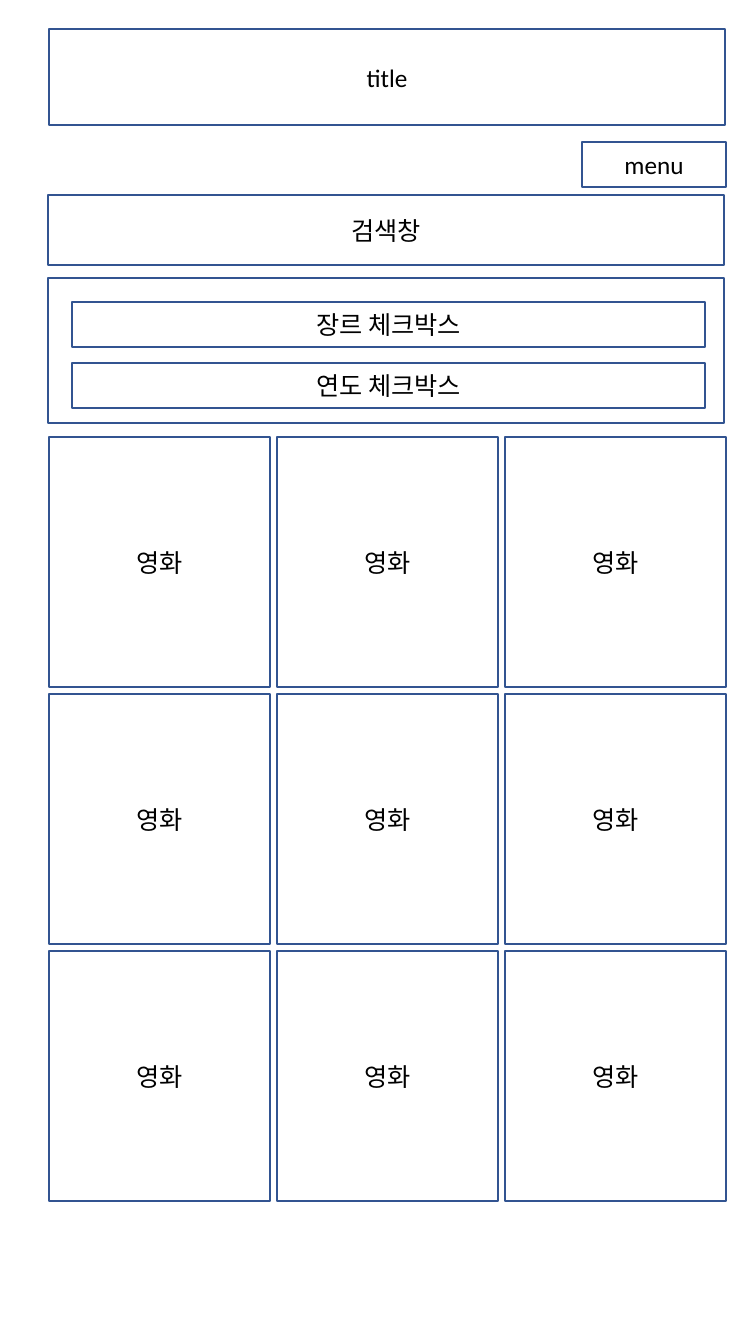
from pptx import Presentation
from pptx.dml.color import RGBColor
from pptx.enum.shapes import MSO_SHAPE
from pptx.enum.text import MSO_ANCHOR, MSO_AUTO_SIZE, PP_ALIGN
from pptx.util import Emu, Pt

RECT = MSO_SHAPE.RECTANGLE
MIDDLE = MSO_ANCHOR.MIDDLE
CENTER = PP_ALIGN.CENTER
NO_FIT = MSO_AUTO_SIZE.NONE
PX = 914400 / 100.8
COLORS = {"fill": "FFFFFF", "line": "325491", "text": "000000"}
FONT = "Calibri"
SIZE = 18


def px(n):
    """Turn px into EMU."""
    return Emu(round(n * PX))


def color(name):
    """Look up a named colour."""
    return RGBColor.from_string(COLORS[name])


class Wireframe:
    """Draws outlined, labelled boxes on one slide."""

    def __init__(self, prs):
        """Add a title-only slide."""
        self.s = prs.slides.add_slide(prs.slide_layouts[5])

    def style(self, sp, text):
        """Give a box its fill, outline and centred label."""
        sp.fill.solid()
        sp.fill.fore_color.rgb = color("fill")
        sp.line.color.rgb = color("line")
        sp.line.width = Pt(1)
        if not text:
            return
        tf = sp.text_frame
        tf.word_wrap = True
        tf.auto_size = NO_FIT
        tf.vertical_anchor = MIDDLE
        p = tf.paragraphs[0]
        p.alignment = CENTER
        r = p.add_run()
        r.text = text
        r.font.name = FONT
        r.font.size = Pt(SIZE)
        r.font.color.rgb = color("text")

    def title(self, x, y, w, h, text):
        """Move and format the title placeholder."""
        sp = self.s.shapes.title
        sp.left, sp.top, sp.width, sp.height = map(px, (x, y, w, h))
        self.style(sp, text)

    def box(self, x, y, w, h, text=""):
        """Add a rectangle."""
        sp = self.s.shapes.add_shape(RECT, *map(px, (x, y, w, h)))
        sp.shadow.inherit = False
        self.style(sp, text)

    def grid(self, x, y, w, h, gap, rows, cols, text):
        """Add evenly spaced boxes with the same label."""
        for row in range(rows):
            for col in range(cols):
                self.box(x + col * (w + gap), y + row * (h + gap), w, h, text)


def main():
    """Build the movie search page wireframe."""
    prs = Presentation()
    prs.slide_width, prs.slide_height = px(756), px(1344)
    page = Wireframe(prs)
    page.title(49, 29, 676, 96, "title")
    page.box(582, 142, 144, 45, "menu")
    page.box(48, 195, 676, 70, "검색창")
    page.box(48, 278, 676, 145)
    for i, label in enumerate(("장르 체크박스", "연도 체크박스")):
        page.box(72, 302 + i * 61, 633, 45, label)
    page.grid(49, 437, 221, 250, 7, 3, 3, "영화")
    prs.save("out.pptx")


if __name__ == "__main__":
    main()
